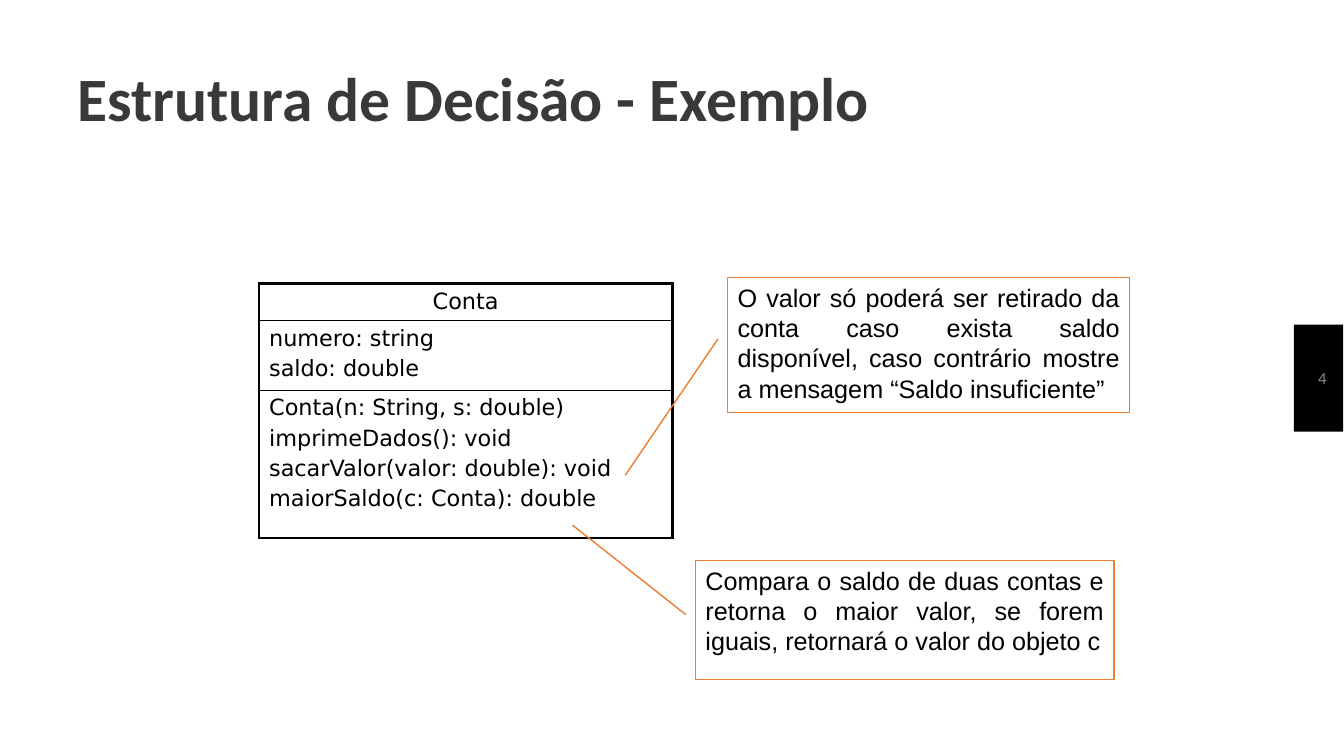
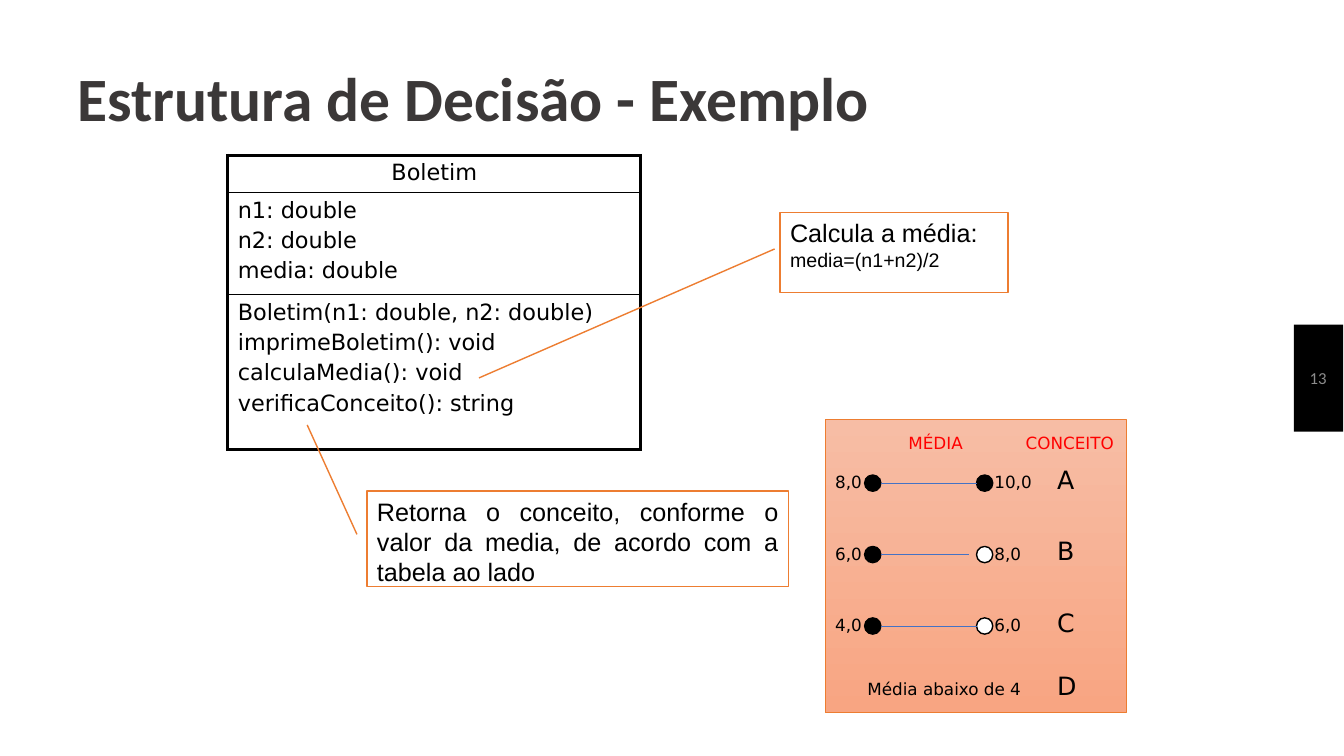
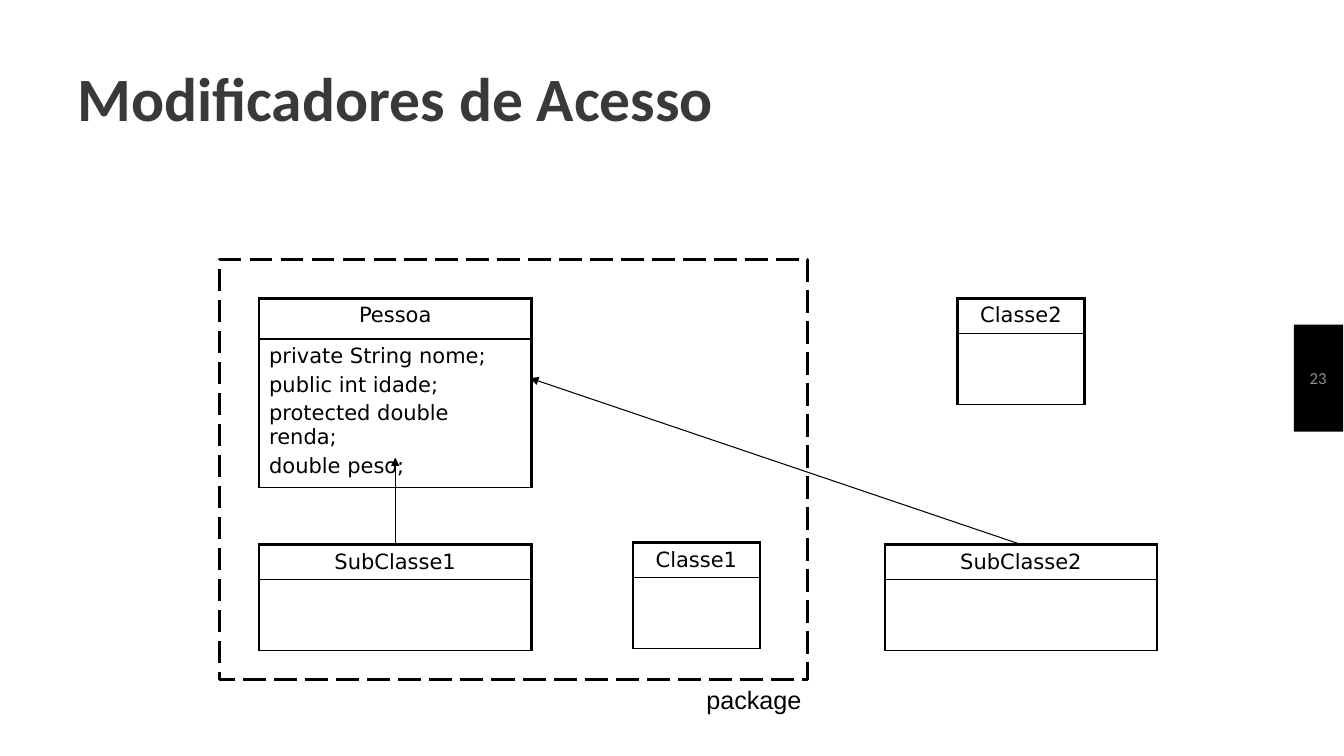
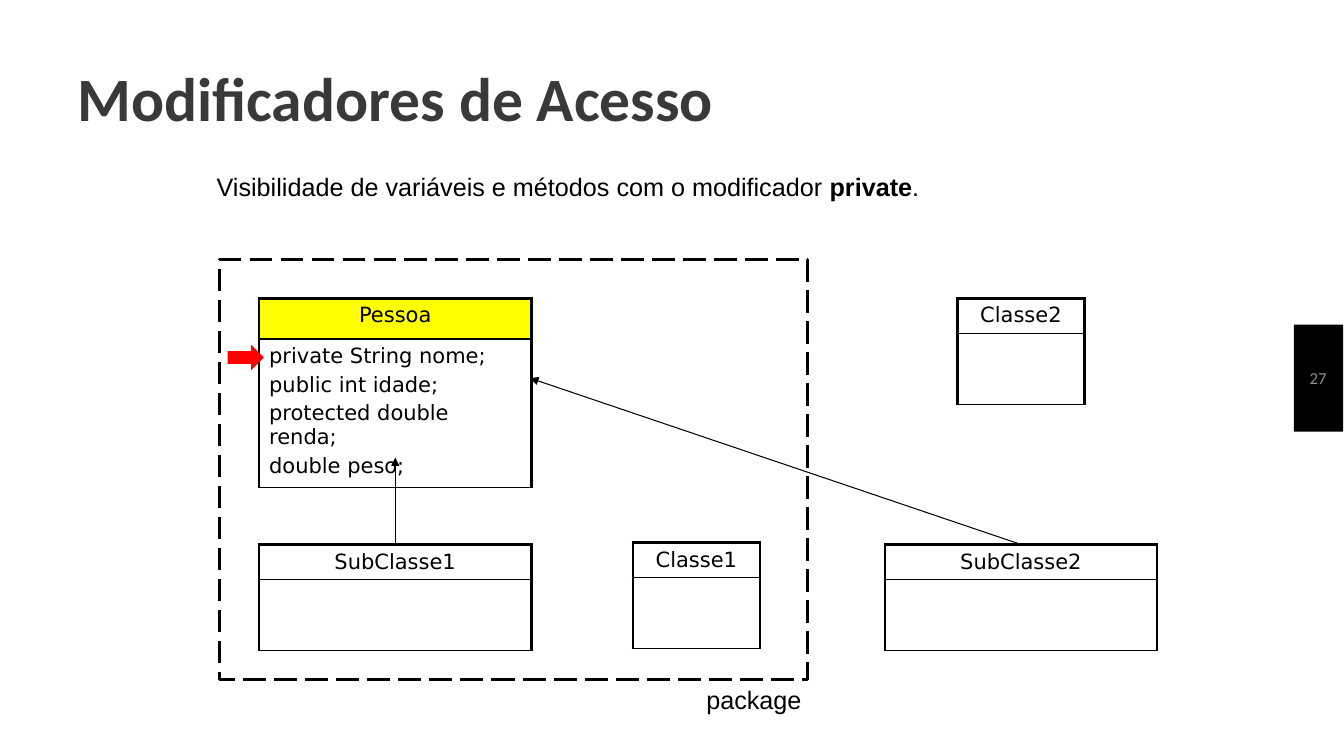
from lxml import etree
from pptx import Presentation
from pptx.dml.color import RGBColor
from pptx.enum import dml, shapes as kinds, text
from pptx.oxml.ns import qn
from pptx.util import Cm, Pt

COLORS = {
    "black": "000000", "white": "FFFFFF", "title": "3B3838", "number": "8C8C8C",
    "orange": "ED7D31", "blue": "4472C4", "red": "FF0000", "yellow": "FFFF00",
    "peach": "F7BDA5", "salmon": "F8A582",
}
BODY, DIAGRAM, HEADING = "Arial", "DejaVu Sans", "Calibri"
SHAPE, ALIGN, ANCHOR = kinds.MSO_SHAPE, text.PP_ALIGN, text.MSO_ANCHOR


def rgb(name):
    return RGBColor.from_string(COLORS[name])


def write(frame, lines, font, size, color="black", align=ALIGN.LEFT, space=0):
    """Put one paragraph per line, with space before all but the first."""
    for index, line in enumerate(lines):
        paragraph = frame.paragraphs[0] if index == 0 else frame.add_paragraph()
        paragraph.text = line
        paragraph.alignment = align
        if index and space:
            paragraph.space_before = Pt(space)
        paragraph.font.name = font
        paragraph.font.size = Pt(size)
        paragraph.font.color.rgb = rgb(color)


def add_text(shapes, box, line, font, size, color="black", align=ALIGN.LEFT, wrap=False):
    frame = shapes.add_textbox(*map(Cm, box)).text_frame
    frame.word_wrap = wrap
    write(frame, [line], font, size, color, align)
    return frame


def add_block(shapes, kind, box, fill=None, line=None, width=1):
    shape = shapes.add_shape(kind, *map(Cm, box))
    shape.shadow.inherit = False
    if fill:
        shape.fill.solid()
        shape.fill.fore_color.rgb = rgb(fill)
    else:
        shape.fill.background()
    if line:
        shape.line.color.rgb = rgb(line)
        shape.line.width = Pt(width)
    else:
        shape.line.fill.background()
    return shape


def add_line(shapes, start, end, color, width, arrow=False):
    connector = shapes.add_connector(kinds.MSO_CONNECTOR.STRAIGHT, *map(Cm, (*start, *end)))
    connector.line.color.rgb = rgb(color)
    connector.line.width = Pt(width)
    if arrow:
        etree.SubElement(connector.line._get_or_add_ln(), qn("a:tailEnd"), type="triangle")
    etree.SubElement(connector._element.spPr, qn("a:effectLst"))


def add_slide(presentation, title, number):
    slide = presentation.slides.add_slide(presentation.slide_layouts[6])
    add_block(slide.shapes, SHAPE.RECTANGLE, (32.61, 8.18, 1.24, 2.7), "black")
    heading = add_text(slide.shapes, (1.7, 0.46, 30.05, 3.18), title, HEADING, 44, "title",
                       wrap=True)
    heading.vertical_anchor = ANCHOR.BOTTOM
    heading.paragraphs[0].font.bold = True
    heading.paragraphs[0].line_spacing = 0.9
    page = add_text(slide.shapes, (32.44, 8.18, 1.24, 2.7), str(number), HEADING, 12, "number",
                    ALIGN.RIGHT, wrap=True)
    page.vertical_anchor = ANCHOR.MIDDLE
    for frame in (heading, page):
        frame.margin_left = frame.margin_right = Cm(0.25)
        frame.margin_top = frame.margin_bottom = Cm(0.25)
    return slide


def set_borders(cell, **widths):
    properties = cell._tc.get_or_add_tcPr()
    for side in "LRTB":
        border = etree.SubElement(properties, qn(f"a:ln{side}"), w=str(Pt(widths[side])))
        fill = etree.SubElement(border, qn("a:solidFill"))
        etree.SubElement(fill, qn("a:srgbClr"), val=COLORS["black"])


def add_class(slide, left, top, width, heights, sections, size, bottom=1, head_fill="white"):
    """Draw a UML class: name in the first row, members in the others."""
    table = slide.shapes.add_table(len(heights), 1, Cm(left), Cm(top), Cm(width),
                                   Cm(sum(heights))).table
    table.first_row = table.horz_banding = False
    last = len(heights) - 1
    for index, (height, lines) in enumerate(zip(heights, sections)):
        table.rows[index].height = Cm(height)
        cell = table.cell(index, 0)
        set_borders(cell, L=2.25, R=2.25, T=1 if index else 2.25,
                    B=bottom if index == last else 1)
        cell.fill.solid()
        cell.fill.fore_color.rgb = rgb("white" if index else head_fill)
        write(cell.text_frame, lines, DIAGRAM, size,
              align=ALIGN.LEFT if index else ALIGN.CENTER, space=size / 5)


def add_callout(slide, box, lines, target):
    """Draw a note whose leader ends at target, (y, x) as shares of the box."""
    callout = add_block(slide.shapes, SHAPE.LINE_CALLOUT_1, box, "white", "orange")
    for index, value in enumerate((0.455, -0.024, *target)):
        callout.adjustments[index] = value
    frame = callout.text_frame
    frame.word_wrap = True
    frame.vertical_anchor = ANCHOR.TOP
    write(frame, lines, BODY, 18, align=ALIGN.JUSTIFY)
    return callout


def add_grade_panel(slide, left, top, width, height):
    shapes = slide.shapes.add_group_shape().shapes
    panel = add_block(shapes, SHAPE.RECTANGLE, (left, top, width, height), "peach", "orange", 0.5)
    panel.fill.gradient()
    panel.fill.gradient_angle = 270
    for stop, color in zip(panel.fill.gradient_stops, ("peach", "salmon")):
        stop.color.rgb = rgb(color)

    def label(x, y, w, line, size=12, color="black", align=ALIGN.LEFT, wrap=False):
        add_text(shapes, (left + x, top + y, w, 0.77 if size == 12 else 1.02),
                 line, DIAGRAM, size, color, align, wrap)

    label(0.38, 0.2, 4.8, "MÉDIA", color="red", align=ALIGN.CENTER, wrap=True)
    label(4.8, 0.2, 2.82, "CONCEITO", color="red")
    dot, low_x, high_x = 0.41, 0.99, 3.81
    ranges = [("8,0", "10,0", "A", "black", 3.81),
              ("6,0", "8,0", "B", "white", 3.61),
              ("4,0", "6,0", "C", "white", 3.81)]
    for index, (low, high, grade, high_fill, line_end) in enumerate(ranges):
        y = 1.4 + 1.8 * index
        for x, fill in ((low_x, "black"), (high_x, high_fill)):
            add_block(shapes, SHAPE.OVAL, (left + x, top + y, dot, dot), fill, "black")
        middle = top + y + dot / 2
        add_line(shapes, (left + low_x + dot, middle), (left + line_end, middle), "blue", 0.5)
        label(0, y - 0.2, 1.22, low)
        label(4.01, y - 0.2, 1.47 if len(high) > 3 else 1.22, high)
        label(5.59, y - 0.4, 0.96, grade, 18)
    label(0.81, 6.4, 4.42, "Média abaixo de 4")
    label(5.59, 6.2, 1.02, "D", 18)


def add_package_diagram(slide, left, top, width, height, head_fill="white"):
    members = ["private String nome;", "public int idade;", "protected double renda;",
               "double peso;"]
    add_class(slide, left + 0.99, top + 0.99, 6.86, (1.02, 3.1), (["Pessoa"], members), 15,
              head_fill=head_fill)
    for name, x, y, class_width in (("SubClasse1", 0.99, 7.19, 6.86),
                                    ("Classe1", 10.41, 7.14, 3.2),
                                    ("Classe2", 18.59, 0.99, 3.2),
                                    ("SubClasse2", 16.76, 7.19, 6.86)):
        add_class(slide, left + x, top + y, class_width, (0.88, 1.79), ([name], []), 15)
    frame = add_block(slide.shapes, SHAPE.RECTANGLE, (left, top, width, height), None, "black", 2)
    frame.line.dash_style = dml.MSO_LINE.LONG_DASH
    add_text(slide.shapes, (left + 12.01, top + height, 2.95, 1.02), "package", BODY, 18)
    for start, end in (((4.42, 7.19), (4.42, 5)), ((20.19, 7.19), (7.82, 3))):
        add_line(slide.shapes, (left + start[0], top + start[1]),
                 (left + end[0], top + end[1]), "black", 0.75, arrow=True)


def build_account(presentation):
    slide = add_slide(presentation, "Estrutura de Decisão - Exemplo", 4)
    add_class(slide, 6.53, 7.14, 10.41, (0.94, 1.75, 3.73), (
        ["Conta"],
        ["numero: string", "saldo: double"],
        ["Conta(n: String, s: double)", "imprimeDados(): void",
         "sacarValor(valor: double): void", "maiorSaldo(c: Conta): double"],
    ), 16, bottom=2.25)
    add_callout(slide, (18.34, 6.99, 10.13, 3.4), [
        "O valor só poderá ser retirado da conta caso exista saldo disponível, "
        "caso contrário mostre a mensagem “Saldo insuficiente”"], (1.467, -0.255))
    add_callout(slide, (17.53, 14.12, 10.54, 3), [
        "Compara o saldo de duas contas e retorna o maior valor, se forem iguais, "
        "retornará o valor do objeto c"], (-0.295, -0.294))


def build_report_card(presentation):
    slide = add_slide(presentation, "Estrutura de Decisão - Exemplo", 13)
    add_class(slide, 5.74, 3.91, 10.41, (0.94, 2.57, 3.91), (
        ["Boletim"],
        ["n1: double", "n2: double", "media: double"],
        ["Boletim(n1: double, n2: double)", "imprimeBoletim(): void",
         "calculaMedia(): void", "verificaConceito(): string"],
    ), 16, bottom=2.25)
    formula = add_callout(slide, (19.66, 5.36, 5.74, 2.01),
                          ["Calcula a média:", "media=(n1+n2)/2"], (2.072, -1.322))
    formula.text_frame.paragraphs[1].font.size = Pt(14)
    add_grade_panel(slide, 20.8, 10.57, 7.59, 7.39)
    add_callout(slide, (9.25, 12.37, 10.62, 2.41), [
        "Retorna o conceito, conforme o valor da media, de acordo com a tabela ao lado"],
        (-0.689, -0.142))


def build_modifiers(presentation, number, modifier=None):
    """Show the package; a modifier adds its heading and marks its class and member."""
    slide = add_slide(presentation, "Modificadores de Acesso", number)
    add_package_diagram(slide, 5.54, 6.53, 14.81, 10.59, "yellow" if modifier else "white")
    if modifier:
        frame = add_text(slide.shapes, (5.21, 4.19, 18.39, 1.02),
                         "Visibilidade de variáveis e métodos com o modificador ", BODY, 18)
        paragraph = frame.paragraphs[0]
        name = paragraph.add_run()
        name.text = modifier
        name.font.bold = True
        paragraph.add_run().text = "."
        add_block(slide.shapes, SHAPE.RIGHT_ARROW, (5.74, 8.69, 0.91, 0.64), "red")


def main():
    presentation = Presentation()
    presentation.slide_width, presentation.slide_height = Cm(33.87), Cm(19.05)
    build_account(presentation)
    build_report_card(presentation)
    build_modifiers(presentation, 23)
    build_modifiers(presentation, 27, "private")
    presentation.save("out.pptx")


if __name__ == "__main__":
    main()
